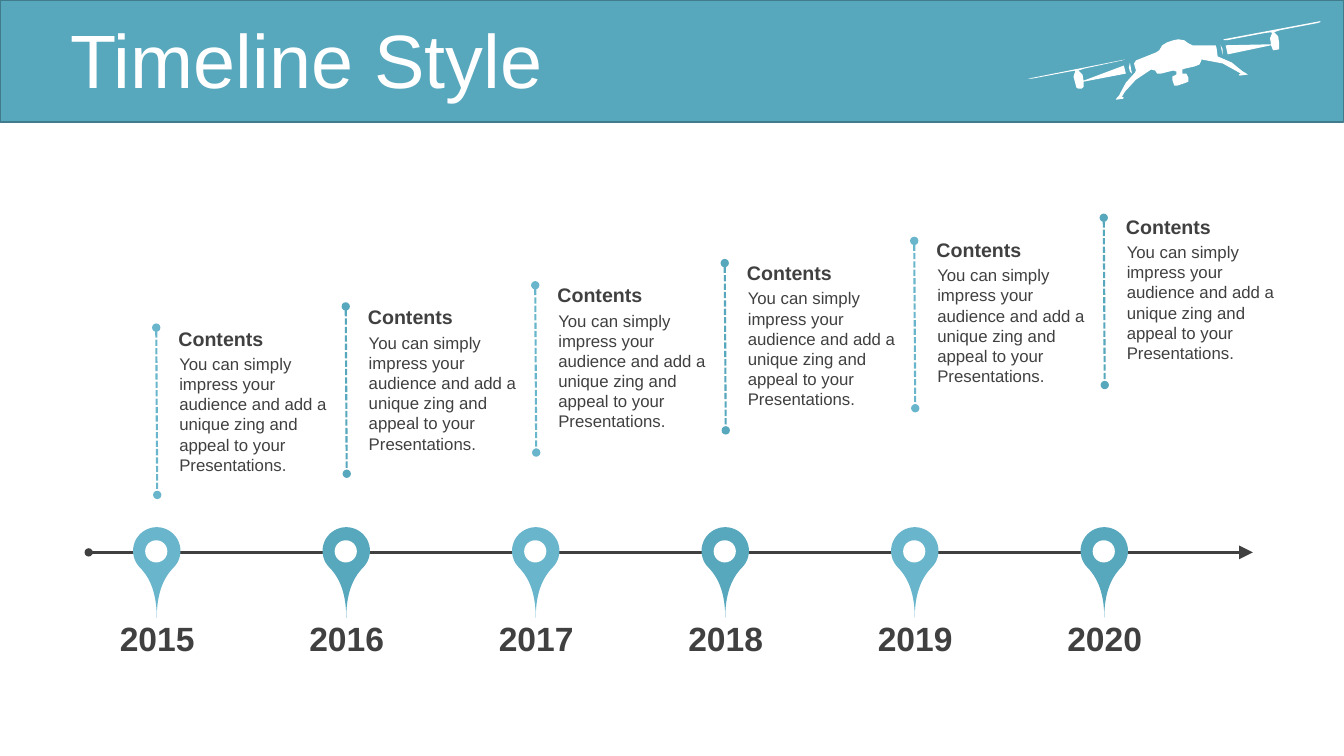
from lxml.etree import SubElement
from pptx import Presentation
from pptx.dml.color import RGBColor
from pptx.enum.dml import MSO_LINE
from pptx.enum.shapes import MSO_CONNECTOR, MSO_SHAPE
from pptx.enum.text import MSO_ANCHOR, MSO_AUTO_SIZE, PP_ALIGN
from pptx.oxml.ns import qn
from pptx.util import Pt

PX = 9144  # 100 px to the inch
FONT = "Arial"
WHITE, DARK = "FFFFFF", "404040"
TEAL, LIGHT_TEAL, BANNER_EDGE = "57A7BD", "69B6CC", "407C8C"

TITLE = "Timeline Style"
HEADING = "Contents"
BODY = ("You can simply impress your audience and add a unique zing "
        "and appeal to your Presentations.")
# year, top of its heading, top of its stem
MILESTONES = [("2015", 319, 325), ("2016", 298, 304), ("2017", 276, 283),
              ("2018", 254, 261), ("2019", 231, 239), ("2020", 208, 216)]
FIRST_X, PITCH = 132, 188
AXIS_Y, PIN, HOLE, STEM = 548, 47, 22, 166

DRONE_PARTS = [
    # right rotor
    [(1214, 39), (1310, 21), (1310, 22), (1307, 23), (1270, 30), (1264, 32),
     (1268, 36), (1269, 42), (1269, 49), (1263, 50), (1261, 45), (1218, 54),
     (1216, 45), (1261, 44), (1260, 38), (1262, 33), (1261, 32), (1254, 33),
     (1217, 40), (1214, 40)],
    # left rotor
    [(1115, 65), (1117, 73), (1075, 81), (1075, 86), (1073, 88), (1070, 88),
     (1068, 87), (1065, 76), (1067, 70), (1061, 71), (1024, 78), (1020, 78),
     (1116, 59), (1113, 60), (1076, 68), (1070, 70), (1074, 74), (1075, 80)],
    # joints
    [(1121, 62), (1123, 73), (1121, 71), (1120, 67)],
    [(1211, 45), (1213, 49), (1213, 55)],
    # body
    [(1235, 72), (1233, 71), (1222, 62), (1208, 56), (1207, 48), (1206, 45),
     (1203, 45), (1183, 45), (1179, 43), (1175, 40), (1169, 39), (1164, 40),
     (1158, 42), (1153, 45), (1150, 50), (1147, 52), (1127, 60), (1125, 63),
     (1127, 70), (1126, 72), (1117, 82), (1110, 95), (1108, 97), (1107, 99),
     (1114, 98), (1115, 97), (1113, 96), (1116, 91), (1127, 79), (1142, 69),
     (1146, 70), (1148, 73), (1152, 73), (1164, 70), (1167, 71), (1167, 74),
     (1163, 76), (1163, 79), (1164, 82), (1165, 85), (1168, 85), (1174, 83),
     (1179, 81), (1179, 77), (1177, 73), (1173, 73), (1173, 69), (1176, 68),
     (1185, 66), (1190, 64), (1192, 60), (1192, 59), (1213, 63), (1231, 73),
     (1229, 74), (1230, 75), (1238, 74)],
]


def rgb(hex_colour):
    return RGBColor.from_string(hex_colour)


def paint(sp, fill, edge=None):
    sp.shadow.inherit = False
    sp.fill.solid()
    sp.fill.fore_color.rgb = rgb(fill)
    if edge:
        sp.line.color.rgb = rgb(edge)
        sp.line.width = Pt(1)
    else:
        sp.line.fill.background()
    return sp


def add_shape(slide, kind, x, y, w, h, fill, edge=None):
    box = [v * PX for v in (x, y, w, h)]
    return paint(slide.shapes.add_shape(kind, *box), fill, edge)


def add_line(slide, start, end, colour, width, tail):
    """Add a line with a dot at its start and the given tail at its end."""
    ends = [v * PX for v in (*start, *end)]
    line = slide.shapes.add_connector(MSO_CONNECTOR.STRAIGHT, *ends)
    line.line.color.rgb = rgb(colour)
    line.line.width = Pt(width)
    sp_pr = line._element.spPr
    ln = sp_pr.find(qn("a:ln"))
    size = {"w": "lg", "len": "lg"} if tail == "triangle" else {}
    SubElement(ln, qn("a:headEnd"), type="oval")
    SubElement(ln, qn("a:tailEnd"), type=tail, **size)
    SubElement(sp_pr, qn("a:effectLst"))
    return line


def format_text(tf, text, size, colour, bold=False, align=PP_ALIGN.LEFT):
    tf.text = text
    tf.word_wrap = True
    p = tf.paragraphs[0]
    p.alignment = align
    font = p.runs[0].font
    font.name, font.size, font.bold = FONT, Pt(size), bold
    font.color.rgb = rgb(colour)
    return p


def add_text(slide, x, y, w, h, text, size, insets, **style):
    """Add a text box; insets are its side and its top/bottom margin."""
    tf = slide.shapes.add_textbox(*[v * PX for v in (x, y, w, h)]).text_frame
    format_text(tf, text, size, DARK, **style)
    tf.auto_size = MSO_AUTO_SIZE.SHAPE_TO_FIT_TEXT
    tf.margin_left = tf.margin_right = insets[0] * PX
    tf.margin_top = tf.margin_bottom = insets[1] * PX


def add_header(slide):
    banner = add_shape(slide, MSO_SHAPE.RECTANGLE, 0, 0, 1333, 121,
                       TEAL, BANNER_EDGE)
    slide.shapes._spTree.insert(2, banner._element)  # behind the title
    title = slide.shapes.title
    title.left, title.top, title.width, title.height = [
        v * PX for v in (60, 24, 1241, 79)]
    tf = title.text_frame
    format_text(tf, TITLE, 54, WHITE).line_spacing = 0.9
    tf.vertical_anchor = MSO_ANCHOR.MIDDLE
    tf.auto_size = MSO_AUTO_SIZE.NONE


def add_drone(slide):
    for points in DRONE_PARTS:
        outline = slide.shapes.build_freeform(*points[0], scale=PX)
        outline.add_line_segments(points[1:], close=True)
        paint(outline.convert_to_shape(), WHITE)


def add_milestone(slide, x, year, top, stem_top, colour):
    pin = add_shape(slide, MSO_SHAPE.TEAR, x, 523, PIN, PIN, colour)
    pin.adjustments[0] = 2
    pin.rotation = 135
    add_shape(slide, MSO_SHAPE.OVAL, x + 12, 536, HOLE, HOLE, WHITE)
    add_text(slide, x - 36, 613, 120, 40, year, 24, (0, 0),
             bold=True, align=PP_ALIGN.CENTER)
    add_text(slide, x + 36, top + 27, 172, 131, BODY, 12, (10, 5))
    add_text(slide, x + 33, top, 173, 34, HEADING, 14, (12, 5), bold=True)
    stem = add_line(slide, (x + 23, stem_top), (x + 24, stem_top + STEM),
                    colour, 1.5, "oval")
    stem.line.dash_style = MSO_LINE.SQUARE_DOT


def main():
    prs = Presentation()
    prs.slide_height = 750 * PX
    prs.slide_width = prs.slide_height * 16 // 9
    slide = prs.slides.add_slide(prs.slide_layouts[5])
    add_header(slide)
    add_drone(slide)
    add_line(slide, (88, AXIS_Y), (1243, AXIS_Y), DARK, 1.75, "triangle")
    for i, (year, top, stem_top) in enumerate(MILESTONES):
        colour = TEAL if i % 2 else LIGHT_TEAL
        add_milestone(slide, FIRST_X + i * PITCH, year, top, stem_top, colour)
    prs.save("out.pptx")


if __name__ == "__main__":
    main()
